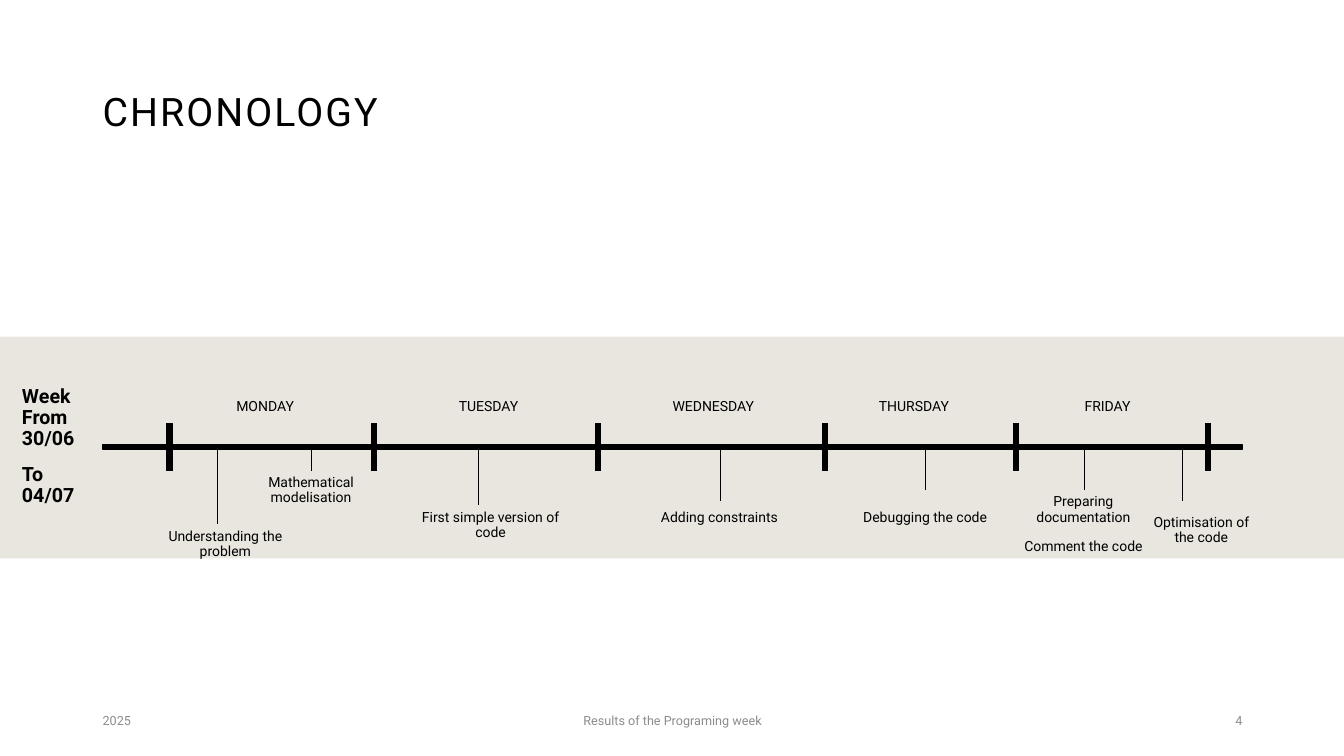
import pptx
import pptx.util
import pptx.dml.color
import pptx.enum.shapes
import pptx.enum.text
import pptx.oxml.ns
import lxml.etree
from dataclasses import dataclass

Inches = pptx.util.Inches
Pt = pptx.util.Pt
RGB = pptx.dml.color.RGBColor.from_string
ALIGN = pptx.enum.text.PP_ALIGN
ANCHOR = pptx.enum.text.MSO_ANCHOR
SHAPE = pptx.enum.shapes.MSO_SHAPE
CONNECTOR = pptx.enum.shapes.MSO_CONNECTOR


@dataclass(frozen=True)
class Theme:
    font: str = "Roboto"
    ink: str = "000000"
    muted: str = "8C8C8C"
    band: str = "E9E6DF"
    title: float = 28
    week: float = 14
    label: float = 10
    footer: float = 9
    tick: float = 4.5
    stem: float = 0.5


THEME = Theme()

# Horizontal positions are measured from the left edge of the band
DAY_TICKS = [1.68, 3.71, 5.93, 8.18, 10.08, 11.98]

# Day name, left, width
DAYS = [
    ("MONDAY", 2.23, 0.8),
    ("TUESDAY", 4.39, 0.91),
    ("WEDNESDAY", 6.56, 1.03),
    ("THURSDAY", 8.55, 1.03),
    ("FRIDAY", 10.47, 1.03),
]

# Paragraphs, label box (left, top, width, height), stem x, stem end
TASKS = [
    (["Understanding the problem"], (1.31, 1.86, 1.85, 0.4), 2.16, 1.86),
    (["Mathematical modelisation"], (2.16, 1.33, 1.85, 0.4), 3.09, 1.33),
    (["First simple version of code"], (3.94, 1.67, 1.85, 0.4), 4.74, 1.67),
    (["Adding constraints"], (6.21, 1.67, 1.85, 0.4), 7.14, 1.63),
    (["Debugging the code"], (8.25, 1.67, 1.85, 0.4), 9.18, 1.52),
    (["Preparing documentation", "Comment the code"],
     (9.99, 1.52, 1.51, 1.1), 10.75, 1.52),
    (["Optimisation of the code"], (11.28, 1.72, 1.27, 0.5), 11.73, 1.63),
]


def add_text(slide, box, paragraphs, size, color=THEME.ink, align=ALIGN.LEFT,
             anchor=ANCHOR.TOP, bold=False, line=0.9, before=0, spacing=0):
    tf = slide.shapes.add_textbox(*map(Inches, box)).text_frame
    tf.word_wrap = True
    tf.vertical_anchor = anchor
    for i, text in enumerate(paragraphs):
        p = tf.paragraphs[0] if i == 0 else tf.add_paragraph()
        p.text = text
        p.alignment = align
        p.line_spacing = line
        p.space_before = Pt(before)
        r = p.runs[0]
        r.font.name = THEME.font
        r.font.size = Pt(size)
        r.font.bold = bold
        r.font.color.rgb = RGB(color)
        if spacing:
            r._r.get_or_add_rPr().set("spc", str(round(spacing * 100)))


def add_bar(slide, box, color):
    sp = slide.shapes.add_shape(SHAPE.RECTANGLE, *map(Inches, box))
    sp.shadow.inherit = False
    sp.fill.solid()
    sp.fill.fore_color.rgb = RGB(color)
    sp.line.fill.background()
    return sp


def add_vertical(slide, x, top, bottom, width):
    cx = slide.shapes.add_connector(
        CONNECTOR.STRAIGHT, Inches(x), Inches(top), Inches(x), Inches(bottom))
    cx.line.color.rgb = RGB(THEME.ink)
    cx.line.width = Pt(width)
    lxml.etree.SubElement(cx._element.spPr, pptx.oxml.ns.qn("a:effectLst"))


def add_title(slide, box):
    add_text(slide, box, ["CHRONOLOGY"], THEME.title,
             anchor=ANCHOR.MIDDLE, spacing=1.5)


def add_timeline(slide, box):
    left, top, width, height = box

    # Band and axis
    add_bar(slide, box, THEME.band)
    axis = add_bar(slide, (left + 1.02, top + 1.07, 11.3, 0.05), THEME.ink)
    axis.line.color.rgb = RGB(THEME.ink)
    axis.line.width = Pt(1)

    # Week dates
    add_text(slide, (left + 0.12, top + 0.21, 0.8, 1.76),
             ["Week From 30/06", "To 04/07"], THEME.week,
             anchor=ANCHOR.MIDDLE, bold=True, before=10)

    # Day boundaries and names
    for x in DAY_TICKS:
        add_vertical(slide, left + x, top + 0.86, top + 1.33, THEME.tick)
    for name, x, w in DAYS:
        add_text(slide, (left + x, top + 0.57, w, 0.22), [name], THEME.label,
                 align=ALIGN.CENTER, before=10)

    # Tasks hanging from the axis
    for paragraphs, (x, y, w, h), stem_x, stem_end in TASKS:
        add_vertical(slide, left + stem_x, top + 1.09, top + stem_end, THEME.stem)
        add_text(slide, (left + x, top + y, w, h), paragraphs, THEME.label,
                 align=ALIGN.CENTER, before=10)


def add_footer(slide, box):
    left, top, width, height = box
    parts = [
        ("2025", left, 3, ALIGN.LEFT),
        ("Results of the Programing week", left + (width - 4.5) / 2, 4.5, ALIGN.CENTER),
        ("4", left + width - 3, 3, ALIGN.RIGHT),
    ]
    for text, x, w, align in parts:
        add_text(slide, (x, top, w, height), [text], THEME.footer, THEME.muted,
                 align, ANCHOR.MIDDLE, line=1)


def main():
    prs = pptx.Presentation()
    prs.slide_width = Inches(13.33)
    prs.slide_height = Inches(7.5)
    slide = prs.slides.add_slide(prs.slide_layouts[6])
    add_title(slide, (0.92, 0.4, 11.5, 1.45))
    add_timeline(slide, (0, 3.34, 13.33, 2.2))
    add_footer(slide, (0.92, 6.95, 11.5, 0.4))
    prs.save("out.pptx")


if __name__ == "__main__":
    main()
